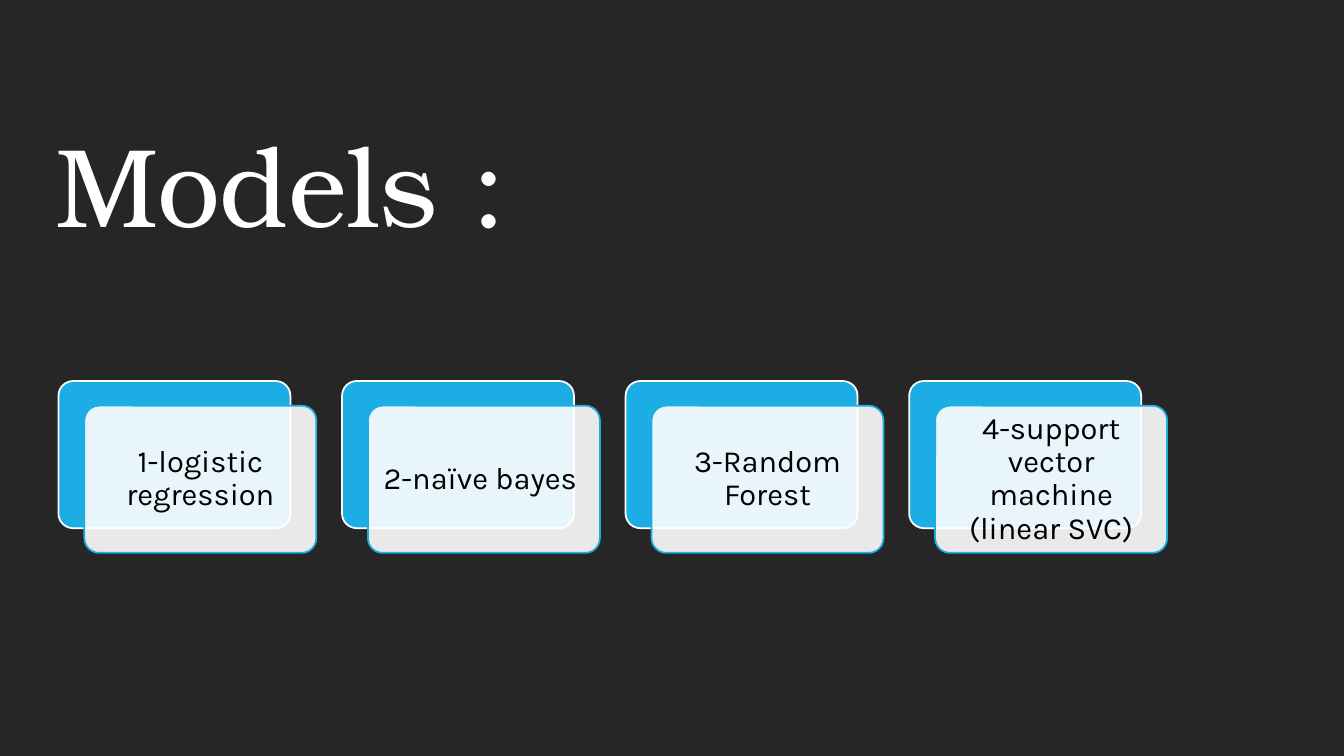
from lxml.etree import SubElement
from pptx import Presentation
from pptx.dml.color import RGBColor
from pptx.enum.shapes import MSO_SHAPE as Shape
from pptx.enum.text import MSO_ANCHOR as Anchor, MSO_AUTO_SIZE as AutoSize, PP_ALIGN as Align
from pptx.oxml.ns import qn
from pptx.util import Inches, Pt

MODELS = [
    "1-logistic regression",
    "2-naïve bayes ",
    "3-Random Forest",
    "4-support vector machine (linear SVC)",
]

# Lengths in percent of the slide's width and height
CARD_LEFT, CARD_TOP = 4.35, 50.4
CARD_WIDTH, CARD_HEIGHT = 17.26, 19.47
CARD_PITCH = 21.1
FRONT_RIGHT, FRONT_DOWN = 1.93, 3.26


def color(hex_string):
    return RGBColor.from_string(hex_string)


class SlideBuilder:
    """Holds the style and the current slide."""
    DARK, WHITE, BLACK, BLUE = "262626", "FFFFFF", "000000", "1CADE4"
    TITLE_FONT, BODY_FONT = "TeX Gyre Bonum", "Karla"

    def __init__(self, deck):
        self.width, self.height = deck.slide_width, deck.slide_height
        self.page = deck.slides.add_slide(deck.slide_layouts[5])
        fill = self.page.background.fill
        fill.solid()
        fill.fore_color.rgb = color(self.DARK)

    def area(self, left, top, width, height):
        return [round(share * side / 100) for share, side in
                zip((left, top, width, height), (self.width, self.height) * 2)]

    def add_text(self, box, text, font, size, ink, align, anchor):
        frame = box.text_frame
        frame.word_wrap = True
        frame.auto_size = AutoSize.NONE
        frame.vertical_anchor = anchor
        para = frame.paragraphs[0]
        para.alignment = align
        para.line_spacing = 0.9
        span = para.add_run()
        span.text = text
        span.font.name = font
        span.font.size = Pt(size)
        span.font.color.rgb = color(ink)
        return span

    def title(self, text, *place):
        box = self.page.shapes.title
        box.left, box.top, box.width, box.height = self.area(*place)
        span = self.add_text(box, text, self.TITLE_FONT, 80, self.WHITE, Align.LEFT, Anchor.BOTTOM)
        span.font._element.set("spc", "-50")

    def panel(self, left, top, fill, line, opacity=100):
        box = self.page.shapes.add_shape(
            Shape.ROUNDED_RECTANGLE, *self.area(left, top, CARD_WIDTH, CARD_HEIGHT))
        box.adjustments[0] = 0.1
        box.shadow.inherit = False
        box.fill.solid()
        box.fill.fore_color.rgb = color(fill)
        box.line.color.rgb = color(line)
        box.line.width = Pt(1.25)
        if opacity < 100:
            tint = box._element.spPr.find(qn("a:solidFill"))[0]
            SubElement(tint, qn("a:alpha"), val=str(opacity * 1000))
        return box

    def card(self, text, left, top):
        self.panel(left, top, self.BLUE, self.WHITE)
        front = self.panel(left + FRONT_RIGHT, top + FRONT_DOWN, self.WHITE, self.BLUE, 90)
        frame = front.text_frame
        frame.margin_left = frame.margin_right = Inches(0.09)
        frame.margin_top = frame.margin_bottom = Inches(0.09)
        self.add_text(front, text, self.BODY_FONT, 22, self.BLACK, Align.CENTER, Anchor.MIDDLE)


def main():
    deck = Presentation()
    deck.slide_width, deck.slide_height = Inches(13.33), Inches(7.5)
    slide = SlideBuilder(deck)

    # Heading
    slide.title("Models :", 3.38, 5.6, 82.52, 28.4)

    # Row of model cards
    for index, model in enumerate(MODELS):
        slide.card(model, CARD_LEFT + index * CARD_PITCH, CARD_TOP)

    deck.save("out.pptx")


if __name__ == "__main__":
    main()
